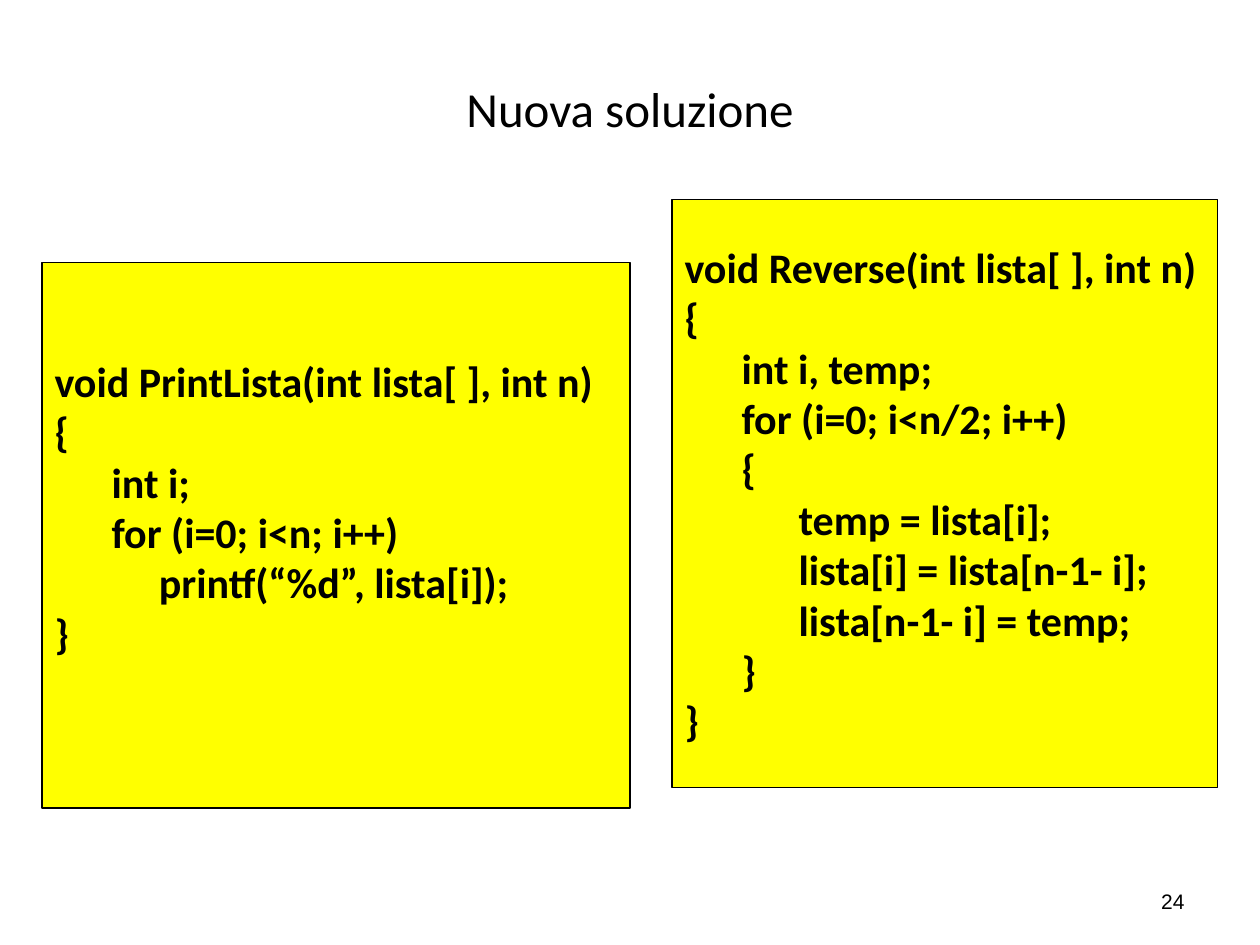
from pptx import Presentation
from pptx.dml.color import RGBColor
from pptx.enum.shapes import MSO_SHAPE
from pptx.enum.text import MSO_ANCHOR, PP_ALIGN
from pptx.util import Cm, Pt

COLORS = {"ink": "000000", "panel": "FFFF00"}
INDENT = 1.15  # one code level, in cm

PRINT_CODE = [
    (0, "void PrintLista(int lista[ ], int n)"),
    (0, "{"),
    (1, "int i;"),
    (1, "for (i=0; i<n; i++)"),
    (1.83, "printf(“%d”, lista[i]);"),
    (0, "}"),
]
REVERSE_CODE = [
    (0, "void Reverse(int lista[ ], int n)"),
    (0, "{"),
    (1, "int i, temp;"),
    (1, "for (i=0; i<n/2; i++)"),
    (1, "{"),
    (2, "temp = lista[i];"),
    (2, "lista[i] = lista[n-1- i];"),
    (2, "lista[n-1- i] = temp;"),
    (1, "}"),
    (0, "}"),
]


class CodePage:
    def __init__(self, deck):
        self.page = deck.slides.add_slide(deck.slide_layouts[5])
        self.font = "Calibri"

    def color(self, name):
        return RGBColor.from_string(COLORS[name])

    def format_text(self, frame, size, align, font=None, bold=False):
        frame.word_wrap = True
        frame.vertical_anchor = MSO_ANCHOR.MIDDLE
        for para in frame.paragraphs:
            para.alignment = align
            for span in para.runs:
                span.font.name = font or self.font
                span.font.size = Pt(size)
                span.font.bold = bold
                span.font.color.rgb = self.color("ink")

    def title(self, text, left, top, width, height):
        box = self.page.shapes.title
        box.left, box.top, box.width, box.height = map(Cm, (left, top, width, height))
        box.text_frame.text = text
        self.format_text(box.text_frame, 28, PP_ALIGN.CENTER)

    def number(self, text, left, top, width, height):
        box = self.page.shapes.add_textbox(*map(Cm, (left, top, width, height)))
        box.text_frame.text = text
        self.format_text(box.text_frame, 12, PP_ALIGN.RIGHT, "Arial")

    def code(self, lines, left, top, width, height, bottom_margin=0.13):
        box = self.page.shapes.add_shape(
            MSO_SHAPE.FLOWCHART_PROCESS, *map(Cm, (left, top, width, height)))
        box.shadow.inherit = False
        box.fill.solid()
        box.fill.fore_color.rgb = self.color("panel")
        box.line.color.rgb = self.color("ink")
        box.line.width = Pt(0.75)
        frame = box.text_frame
        frame.margin_bottom = Cm(bottom_margin)
        frame.text = "\n".join(text for _, text in lines)
        self.format_text(frame, 24, PP_ALIGN.JUSTIFY, bold=True)
        for para, (level, _) in zip(frame.paragraphs, lines):
            para._p.get_or_add_pPr().set("marL", str(Cm(level * INDENT)))


def main():
    deck = Presentation()
    deck.slide_width, deck.slide_height = Cm(25.4), Cm(19.05)
    page = CodePage(deck)

    # Title and page number
    page.title("Nuova soluzione", 1.27, 0.76, 22.86, 2.84)
    page.number("24", 18.2, 17.65, 5.93, 1.02)

    # Code panels; the left one keeps its text above the middle
    page.code(PRINT_CODE, 0.85, 5.29, 11.85, 11, bottom_margin=1.28)
    page.code(REVERSE_CODE, 13.55, 4.02, 11, 11.85)

    deck.save("out.pptx")


if __name__ == "__main__":
    main()
